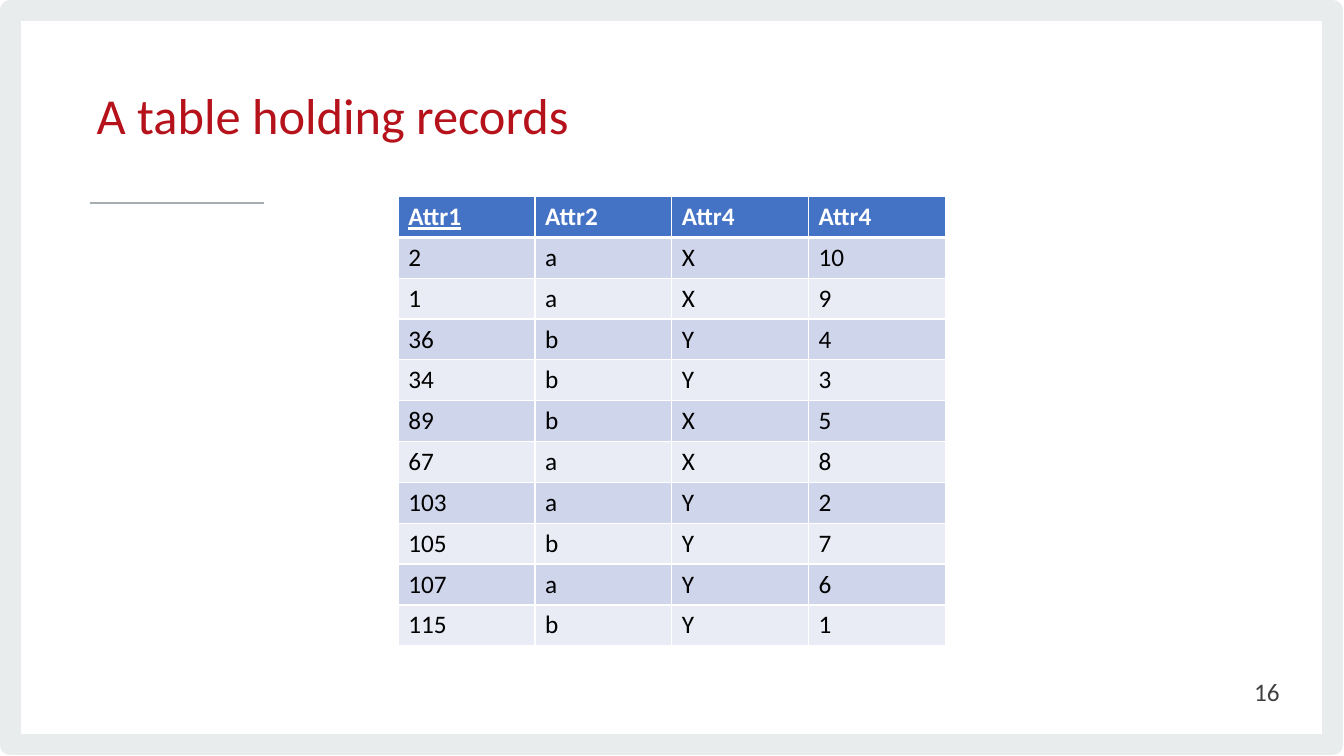
from lxml import etree
from pptx import Presentation
from pptx.dml.color import RGBColor
from pptx.enum.shapes import MSO_CONNECTOR, MSO_SHAPE
from pptx.enum.text import MSO_ANCHOR, PP_ALIGN
from pptx.oxml import parse_xml
from pptx.oxml.ns import nsdecls, qn
from pptx.util import Inches, Pt

TITLE = "A table holding records"
PAGE_NUMBER = "16"
HEADER = ("Attr1", "Attr2", "Attr4", "Attr4")
RECORDS = [
    (2, "a", "X", 10),
    (1, "a", "X", 9),
    (36, "b", "Y", 4),
    (34, "b", "Y", 3),
    (89, "b", "X", 5),
    (67, "a", "X", 8),
    (103, "a", "Y", 2),
    (105, "b", "Y", 7),
    (107, "a", "Y", 6),
    (115, "b", "Y", 1),
]
KEY_COLUMN = 0

FONT = "Calibri"
COLORS = {
    "frame": "E9ECED", "rule": "A6ADB1", "title": "B5121B", "number": "414042",
    "header": "4472C4", "odd": "CFD5EA", "even": "E9EBF5",
    "white": "FFFFFF", "black": "000000",
}
TABLE_LEFT, TABLE_TOP = 3.95, 1.95
COLUMN_WIDTH, ROW_HEIGHT = 1.357, 0.4055


def rgb(name):
    return RGBColor.from_string(COLORS[name])


def style_font(font, size, color, bold=False):
    font.name, font.size, font.bold = FONT, Pt(size), bold
    font.color.rgb = rgb(color)


def add_frame(slide):
    sp = slide.shapes.add_shape(MSO_SHAPE.RECTANGLE, Inches(0.1), Inches(0.1),
                                Inches(13.12), Inches(7.29))
    sp.shadow.inherit = False
    sp.fill.background()
    sp.line.color.rgb = rgb("frame")
    sp.line.width = Pt(15.11)
    etree.SubElement(sp.line._get_or_add_ln(), qn("a:round"))


def add_rule(slide):
    line = slide.shapes.add_connector(MSO_CONNECTOR.STRAIGHT, Inches(0.89), Inches(2.01),
                                      Inches(2.62), Inches(2.01))
    line.line.color.rgb = rgb("rule")
    line.line.width = Pt(1.33)
    etree.SubElement(line._element.spPr, qn("a:effectLst"))


def add_text(slide, text, box, size, color, align=PP_ALIGN.LEFT):
    tf = slide.shapes.add_textbox(*map(Inches, box)).text_frame
    tf.word_wrap = True
    tf.vertical_anchor = MSO_ANCHOR.MIDDLE
    p = tf.paragraphs[0]
    p.text = text
    p.alignment = align
    style_font(p.runs[0].font, size, color)
    return p


def set_borders(cell, **widths):
    """Draw white cell borders; widths are points by side L, R, T, B."""
    for side, width in widths.items():
        cell._tc.get_or_add_tcPr().append(parse_xml(
            f'<a:ln{side} {nsdecls("a")} w="{Pt(width)}"><a:solidFill>'
            f'<a:srgbClr val="{COLORS["white"]}"/></a:solidFill></a:ln{side}>'))


def add_records(slide):
    rows = [HEADER, *RECORDS]
    n_rows, n_cols = len(rows), len(HEADER)
    table = slide.shapes.add_table(
        n_rows, n_cols, Inches(TABLE_LEFT), Inches(TABLE_TOP),
        Inches(COLUMN_WIDTH * n_cols), Inches(ROW_HEIGHT * n_rows)).table
    for column in table.columns:
        column.width = Inches(COLUMN_WIDTH)
    for i, values in enumerate(rows):
        table.rows[i].height = Inches(ROW_HEIGHT)
        is_header = i == 0
        fill = "header" if is_header else "odd" if i % 2 else "even"
        for j, value in enumerate(values):
            cell = table.cell(i, j)
            set_borders(cell, L=1, R=1, T=3 if i == 1 else 1, B=3 if is_header else 1)
            cell.fill.solid()
            cell.fill.fore_color.rgb = rgb(fill)
            cell.text_frame.text = str(value)
            font = cell.text_frame.paragraphs[0].runs[0].font
            style_font(font, 18, "white" if is_header else "black", is_header)
            font.underline = is_header and j == KEY_COLUMN


def main():
    prs = Presentation()
    prs.slide_width, prs.slide_height = Inches(13.33), Inches(7.5)
    slide = prs.slides.add_slide(prs.slide_layouts[6])
    add_frame(slide)
    add_rule(slide)
    title = add_text(slide, TITLE, (0.86, 0.52, 9.02, 1.34), 36, "title")
    title.line_spacing = Pt(34.7)
    add_text(slide, PAGE_NUMBER, (9.79, 6.66, 3, 0.4), 18, "number", PP_ALIGN.RIGHT)
    add_records(slide)
    prs.save("out.pptx")


if __name__ == "__main__":
    main()
